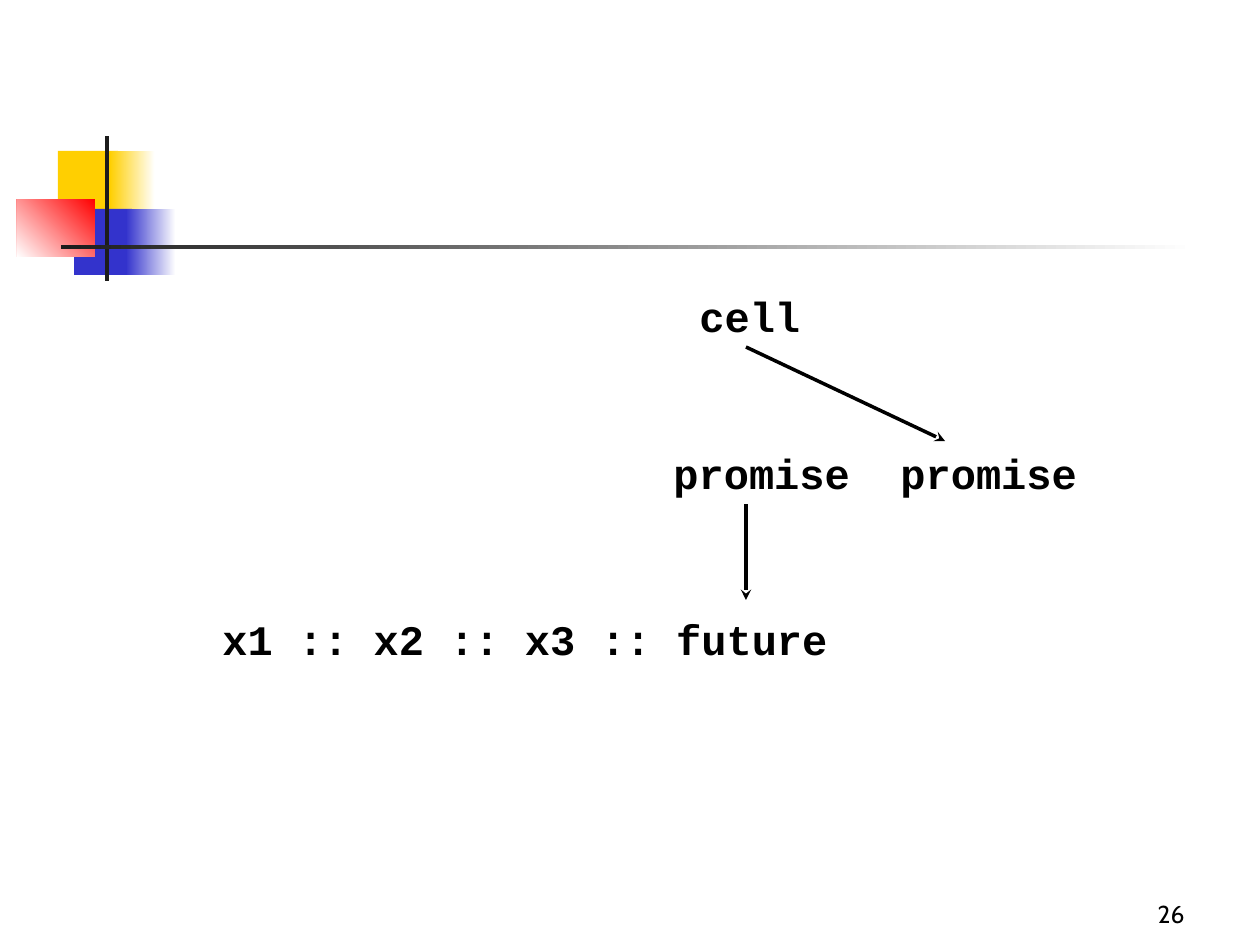
from lxml.etree import SubElement
from pptx import Presentation
from pptx.dml.color import RGBColor
from pptx.enum.shapes import MSO_CONNECTOR as Connector, MSO_SHAPE as Shape
from pptx.enum.text import MSO_ANCHOR as Anchor, MSO_AUTO_SIZE as AutoSize, PP_ALIGN as Align
from pptx.oxml.ns import qn
from pptx.util import Pt

EMU_PER_PX = 914400 / 126
BLACK, WHITE, DARK = "000000", "FFFFFF", "1C1C1C"
YELLOW, BLUE, RED = "FFCF01", "3333CC", "FF0000"


def px(length):
    return round(length * EMU_PER_PX)


def color(value):
    return RGBColor.from_string(value)


def add_block(slide, left, top, width, height, *colors, angle=180):
    """Rectangle with one solid colour, or a gradient between two."""
    shape = slide.shapes.add_shape(Shape.RECTANGLE, px(left), px(top), px(width), px(height))
    shape.shadow.inherit = False
    shape.line.fill.background()
    if len(colors) == 1:
        shape.fill.solid()
        shape.fill.fore_color.rgb = color(colors[0])
        return
    shape.fill.gradient()
    shape.fill.gradient_angle = angle
    for stop, value in zip(shape.fill.gradient_stops, colors):
        stop.color.rgb = color(value)


def add_text(slide, text, left, top, width, height=63, *, font="Courier New", size=24,
             bold=True, align=Align.LEFT, anchor=Anchor.TOP, before=6, fit=AutoSize.SHAPE_TO_FIT_TEXT):
    box = slide.shapes.add_textbox(px(left), px(top), px(width), px(height))
    frame = box.text_frame
    frame.word_wrap = True
    frame.auto_size = fit
    frame.vertical_anchor = anchor
    paragraph = frame.paragraphs[0]
    paragraph.alignment = align
    paragraph.space_before = Pt(before)
    run = paragraph.add_run()
    run.text = text
    run.font.name = font
    run.font.size = Pt(size)
    run.font.bold = bold
    run.font.color.rgb = color(BLACK)


def add_arrow(slide, start_x, start_y, end_x, end_y):
    arrow = slide.shapes.add_connector(
        Connector.STRAIGHT, px(start_x), px(start_y), px(end_x), px(end_y))
    arrow.line.width = Pt(2)
    arrow.line.color.rgb = color(BLACK)
    SubElement(arrow.line._get_or_add_ln(), qn("a:tailEnd"), type="stealth")
    SubElement(arrow._element.spPr, qn("a:effectLst"))


def draw_ornament(slide, left, top):
    """Coloured squares crossed by a vertical bar and a fading rule."""
    add_block(slide, left + 41, top + 15, 60, 66, YELLOW)
    add_block(slide, left + 93, top + 15, 45, 66, WHITE, YELLOW)
    add_block(slide, left + 57, top + 73, 58, 66, BLUE)
    add_block(slide, left + 109, top + 73, 50, 66, WHITE, BLUE)
    add_block(slide, left, top + 63, 78, 58, RED, WHITE, angle=225)
    add_block(slide, left + 88, top, 4, 145, DARK)
    add_block(slide, left + 44, top + 109, 1134, 4, WHITE, DARK)


def draw_diagram(slide, left, top):
    """A cell points to a promise; another promise points to the future."""
    add_text(slide, "x1 :: x2 :: x3 :: future", left, top + 323, 651)
    add_text(slide, "promise", left + 451, top + 157, 220)
    add_text(slide, "promise", left + 678, top + 157, 220)
    add_text(slide, "cell", left + 477, top, 179)
    add_arrow(slide, left + 536, top + 63, left + 735, top + 157)
    add_arrow(slide, left + 536, top + 220, left + 536, top + 316)


def draw_page_number(slide, left, top):
    add_text(slide, "26", left, top, 262, font="Cabin", size=14, bold=False,
             align=Align.RIGHT, anchor=Anchor.BOTTOM, before=0, fit=AutoSize.NONE)


def main():
    presentation = Presentation()
    presentation.slide_width = px(1260)
    presentation.slide_height = px(945)
    slide = presentation.slides.add_slide(presentation.slide_layouts[6])
    draw_ornament(slide, 17, 136)
    draw_diagram(slide, 210, 284)
    draw_page_number(slide, 935, 872)
    presentation.save("out.pptx")


if __name__ == "__main__":
    main()
